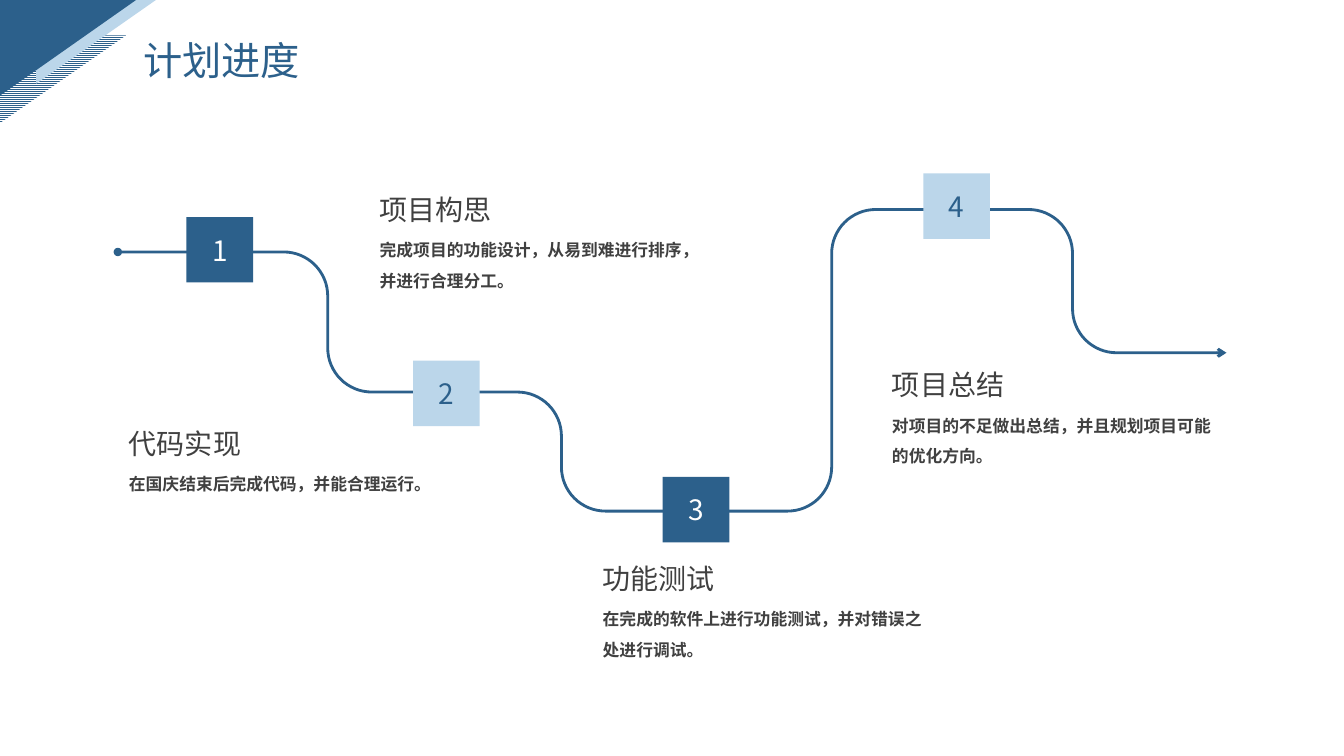
from dataclasses import dataclass
from math import cos, pi, sin

from lxml import etree
from pptx import Presentation
from pptx.dml.color import RGBColor
from pptx.enum.dml import MSO_PATTERN
from pptx.enum.shapes import MSO_SHAPE
from pptx.enum.text import MSO_ANCHOR, MSO_AUTO_SIZE, PP_ALIGN
from pptx.oxml.ns import qn
from pptx.util import Cm, Pt

FONT = "Noto Sans CJK SC"
BLUE, PALE, GREY, WHITE = "2C608B", "BBD6EA", "404040", "FFFFFF"
TRIANGLE, SQUARE = MSO_SHAPE.RIGHT_TRIANGLE, MSO_SHAPE.RECTANGLE
HATCH = MSO_PATTERN.LIGHT_HORIZONTAL
LEFT, CENTER = PP_ALIGN.LEFT, PP_ALIGN.CENTER
TOP, MIDDLE = MSO_ANCHOR.TOP, MSO_ANCHOR.MIDDLE
FIT_SHAPE = MSO_AUTO_SIZE.SHAPE_TO_FIT_TEXT

SQUARE_WIDTH, SQUARE_HEIGHT = 1.68, 1.65
BEND_RADIUS, BEND_STEPS = 1.11, 16
DETAIL_DROP = 0.95


@dataclass
class Corner:
    """Right triangle with its right angle at the top left, as seen."""
    left: float
    top: float
    width: float
    height: float
    fill: str
    hatched: bool = False


@dataclass
class Stage:
    square_left: float
    square_top: float
    square_fill: str
    number_color: str


@dataclass
class Note:
    left: float
    top: float
    heading: str
    detail: str
    detail_height: float


CORNERS = [
    Corner(0, 0.89, 3.18, 2.21, BLUE, hatched=True),
    Corner(0.91, 0, 3.02, 2.11, PALE),
    Corner(0, 0, 3.43, 2.41, BLUE),
]
STAGES = [
    Stage(4.7, 5.47, BLUE, WHITE),
    Stage(10.41, 9.09, PALE, BLUE),
    Stage(16.7, 12.02, BLUE, WHITE),
    Stage(23.27, 4.37, PALE, BLUE),
]
NOTES = [
    Note(9.32, 4.72, "项目构思", "完成项目的功能设计，从易到难进行排序，并进行合理分工。", 1.7),
    Note(3, 10.62, "代码实现", "在国庆结束后完成代码，并能合理运行。", 0.94),
    Note(14.94, 14.02, "功能测试", "在完成的软件上进行功能测试，并对错误之处进行调试。", 1.7),
    Note(22.23, 9.14, "项目总结", "对项目的不足做出总结，并且规划项目可能的优化方向。", 1.7),
]
ROUTE = [
    (2.97, 6.35), (8.26, 6.35), (8.26, 9.88), (14.15, 9.88), (14.15, 12.88),
    (20.96, 12.88), (20.96, 5.28), (27.03, 5.28), (27.03, 8.89), (30.91, 8.89),
]


def color(value: str) -> RGBColor:
    return RGBColor.from_string(value)


def apply(target, **values) -> None:
    for name, value in values.items():
        setattr(target, name, value)


def write(box, text: str, size: float, text_color: str, bold: bool = False,
          align=LEFT, anchor=TOP, spacing: float = 1.0, fit=FIT_SHAPE) -> None:
    frame = box.text_frame
    apply(frame, word_wrap=True, auto_size=fit, vertical_anchor=anchor)
    para = frame.paragraphs[0]
    apply(para, alignment=align, line_spacing=spacing)
    span = para.add_run()
    span.text = text
    apply(span.font, name=FONT, size=Pt(size), bold=bold)
    span.font.color.rgb = color(text_color)
    east_asian = etree.SubElement(span.font._element, qn("a:ea"))
    east_asian.set("typeface", FONT)


def add_text(page, left: float, top: float, width: float, height: float,
             text: str, size: float, **formats) -> None:
    box = page.shapes.add_textbox(Cm(left), Cm(top), Cm(width), Cm(height))
    write(box, text, size, GREY, **formats)


def add_plain(page, kind, left: float, top: float, width: float, height: float,
              fill: str):
    shape = page.shapes.add_shape(kind, Cm(left), Cm(top), Cm(width), Cm(height))
    shape.shadow.inherit = False
    shape.line.fill.background()
    shape.fill.solid()
    shape.fill.fore_color.rgb = color(fill)
    return shape


def add_corner(page, corner: Corner) -> None:
    # A quarter turn swaps the sides around a fixed centre
    shift = (corner.width - corner.height) / 2
    shape = add_plain(page, TRIANGLE, corner.left + shift, corner.top - shift,
                      corner.height, corner.width, corner.fill)
    shape.rotation = 90
    if corner.hatched:
        shape.fill.patterned()
        shape.fill.pattern = HATCH
        shape.fill.fore_color.rgb = color(corner.fill)
        shape.fill.back_color.rgb = color(WHITE)


def direction(start: tuple, end: tuple) -> tuple:
    dx, dy = end[0] - start[0], end[1] - start[1]
    length = abs(dx) + abs(dy)
    return dx / length, dy / length


def bend(before: tuple, turn: tuple, after: tuple) -> list:
    """Points of the quarter circle that rounds one turn of the route."""
    arriving, leaving = direction(before, turn), direction(turn, after)
    points = []
    for step in range(BEND_STEPS + 1):
        angle = pi / 2 * step / BEND_STEPS
        back, ahead = sin(angle) - 1, 1 - cos(angle)
        points.append(tuple(
            Cm(turn[axis] + BEND_RADIUS * (arriving[axis] * back + leaving[axis] * ahead))
            for axis in (0, 1)))
    return points


def add_route(page, route: list) -> None:
    points = [point for trio in zip(route, route[1:], route[2:]) for point in bend(*trio)]
    points.append(tuple(Cm(value) for value in route[-1]))
    builder = page.shapes.build_freeform(Cm(route[0][0]), Cm(route[0][1]))
    builder.add_line_segments(points, close=False)
    shape = builder.convert_to_shape()
    shape.shadow.inherit = False
    shape.fill.background()
    shape.line.color.rgb = color(BLUE)
    shape.line.width = Pt(2)
    outline = shape._element.spPr.find(qn("a:ln"))
    for tag, kind in (("a:headEnd", "oval"), ("a:tailEnd", "arrow")):
        etree.SubElement(outline, qn(tag)).set("type", kind)


def main() -> None:
    deck = Presentation()
    apply(deck, slide_width=Cm(33.87), slide_height=Cm(19.05))
    page = deck.slides.add_slide(deck.slide_layouts[5])

    # Corner decoration and title
    for corner in CORNERS:
        add_corner(page, corner)
    title = page.shapes.title
    apply(title, left=Cm(3.35), top=Cm(0.79), width=Cm(6.58), height=Cm(1.45))
    write(title, "计划进度", 28, BLUE)

    # Route with numbered squares
    add_route(page, ROUTE)
    for number, stage in enumerate(STAGES, start=1):
        square = add_plain(page, SQUARE, stage.square_left, stage.square_top,
                           SQUARE_WIDTH, SQUARE_HEIGHT, stage.square_fill)
        write(square, str(number), 20, stage.number_color, align=CENTER,
              anchor=MIDDLE, fit=MSO_AUTO_SIZE.NONE)

    # Headings with details
    for note in NOTES:
        add_text(page, note.left, note.top, 4.95, 1.12, note.heading, 20)
        add_text(page, note.left, note.top + DETAIL_DROP, 8.69, note.detail_height,
                 note.detail, 12, bold=True, spacing=1.5)

    deck.save("out.pptx")


if __name__ == "__main__":
    main()
